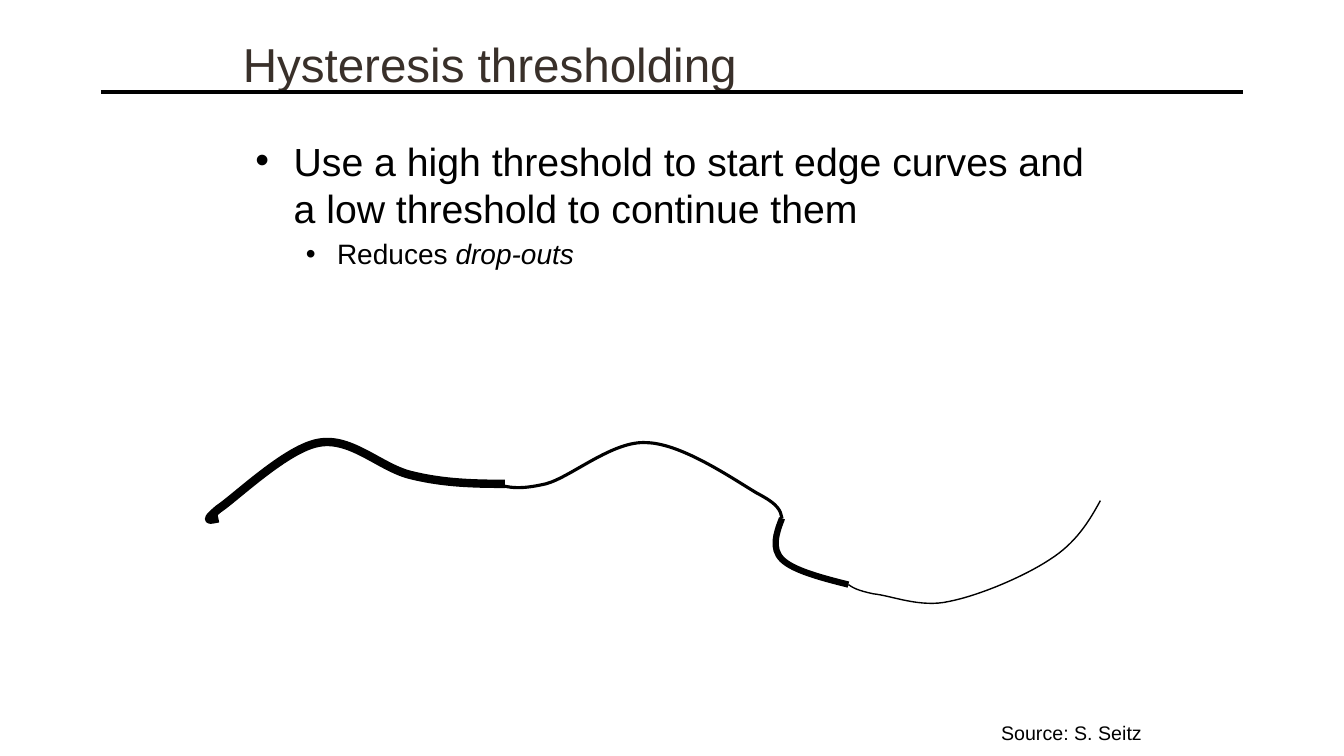
"""Build the hysteresis thresholding slide."""
from lxml.etree import SubElement
from pptx import Presentation
from pptx.dml.color import RGBColor
from pptx.enum.shapes import MSO_CONNECTOR
from pptx.enum.text import MSO_ANCHOR, MSO_AUTO_SIZE, PP_ALIGN
from pptx.oxml.ns import qn
from pptx.util import Inches, Pt

COLORS = {"ink": "000000", "title": "39302A"}
FONT = "Arial"
COLS, ROWS = 160, 90

CURVES = [
    (6, [(26, 61.7), (25, 61.9), (24.1, 62.2), (26, 60.6),
         (28.1, 59.2), (34.2, 53.3), (38, 52.7),
         (41.9, 52), (45.4, 55.8), (49.1, 56.6),
         (52.8, 57.5), (56.4, 57.6), (60.1, 57.6)]),
    (2.25, [(59, 57.6), (60.6, 58.1), (62, 58.3), (65, 57.6),
            (68, 56.8), (73, 52.4), (77, 52.7),
            (81.2, 52.8), (87.4, 57.1), (90.1, 58.7),
            (92.8, 60.1), (92.9, 60.8), (93.1, 61.7)]),
    (4.5, [(93.1, 61.7), (92.4, 63.5), (91.8, 65.3), (93.1, 66.6),
           (94.4, 67.9), (97.8, 68.8), (101, 69.6)]),
    (1, [(101, 69.6), (101.6, 70), (102.1, 70.3), (104, 70.7),
         (106.1, 70.9), (109.6, 72.4), (113, 71.6),
         (116.6, 70.9), (122, 68.6), (125, 66.6),
         (128, 64.7), (129.6, 62.2), (131, 59.6)]),
]


class Deck:
    def __init__(self):
        self.prs = Presentation()
        self.prs.slide_width, self.prs.slide_height = Inches(13.33), Inches(7.5)
        self.slide = self.prs.slides.add_slide(self.prs.slide_layouts[1])
        self.shapes = self.slide.shapes

    def point(self, col, row):
        return (round(self.prs.slide_width * col / COLS),
                round(self.prs.slide_height * row / ROWS))

    def place(self, shape, col, row, width, height):
        shape.left, shape.top = self.point(col, row)
        shape.width, shape.height = self.point(width, height)
        frame = shape.text_frame
        frame.word_wrap = True
        frame.auto_size = MSO_AUTO_SIZE.NONE
        return frame

    def style(self, par, size, color="ink"):
        par.alignment = PP_ALIGN.LEFT
        for run in par.runs:
            run.font.name = FONT
            run.font.size = Pt(size)
            run.font.color.rgb = RGBColor.from_string(COLORS[color])

    def title(self, text, *box):
        frame = self.place(self.shapes.title, *box)
        frame.vertical_anchor = MSO_ANCHOR.MIDDLE
        frame.text = text
        self.style(frame.paragraphs[0], 34, "title")

    def bullets(self, items, *box):
        frame = self.place(self.slide.placeholders[1], *box)
        frame.vertical_anchor = MSO_ANCHOR.TOP
        for num, (level, text, accent, size, left, hang) in enumerate(items):
            par = frame.add_paragraph() if num else frame.paragraphs[0]
            par.text, par.level = text, level
            par.space_before = Pt(size * 0.2 if num else 0)
            props = par._p.get_or_add_pPr()
            props.set("marL", str(Inches(left)))
            props.set("indent", str(-Inches(hang)))
            SubElement(props, qn("a:buFont")).set("typeface", FONT)
            SubElement(props, qn("a:buChar")).set("char", "•")
            if accent:
                run = par.add_run()
                run.text, run.font.italic = accent, True
            self.style(par, size)

    def label(self, text, size, *box):
        frame = self.place(self.shapes.add_textbox(0, 0, 0, 0), *box)
        frame.text = text
        self.style(frame.paragraphs[0], size)

    def stroke(self, shape, width):
        shape.line.color.rgb = RGBColor.from_string(COLORS["ink"])
        shape.line.width = Pt(width)

    def rule(self, start, end, width):
        line = self.shapes.add_connector(
            MSO_CONNECTOR.STRAIGHT, *self.point(*start), *self.point(*end))
        self.stroke(line, width)
        SubElement(line._element.spPr, qn("a:effectLst"))

    def curve(self, width, cells):
        first, *rest = [self.point(*cell) for cell in cells]
        pen = self.shapes.build_freeform(*first)
        pen.add_line_segments(rest, close=False)
        shape = pen.convert_to_shape()
        shape.shadow.inherit = False
        shape.fill.background()
        self.stroke(shape, width)
        route = next(shape._element.iter(qn("a:path")))
        steps = route.findall(qn("a:lnTo"))
        for num, step in enumerate(steps):
            if num % 3 == 0:
                bend = SubElement(route, qn("a:cubicBezTo"))
            bend.append(step[0])
            route.remove(step)


def main():
    deck = Deck()
    deck.rule((12, 11), (148, 11), 3)
    deck.title("Hysteresis thresholding", 27.7, 0, 102, 15)
    deck.bullets([
        (0, "Use a high threshold to start edge curves and "
            "a low threshold to continue them", "", 28, 0.38, 0.38),
        (1, "Reduces ", "drop-outs", 20, 0.81, 0.31),
    ], 29.2, 15.7, 102, 54)
    for width, cells in CURVES:
        deck.curve(width, cells)
    deck.label("Source: S. Seitz", 14, 118, 85.2, 26, 4)
    deck.prs.save("out.pptx")


if __name__ == "__main__":
    main()
